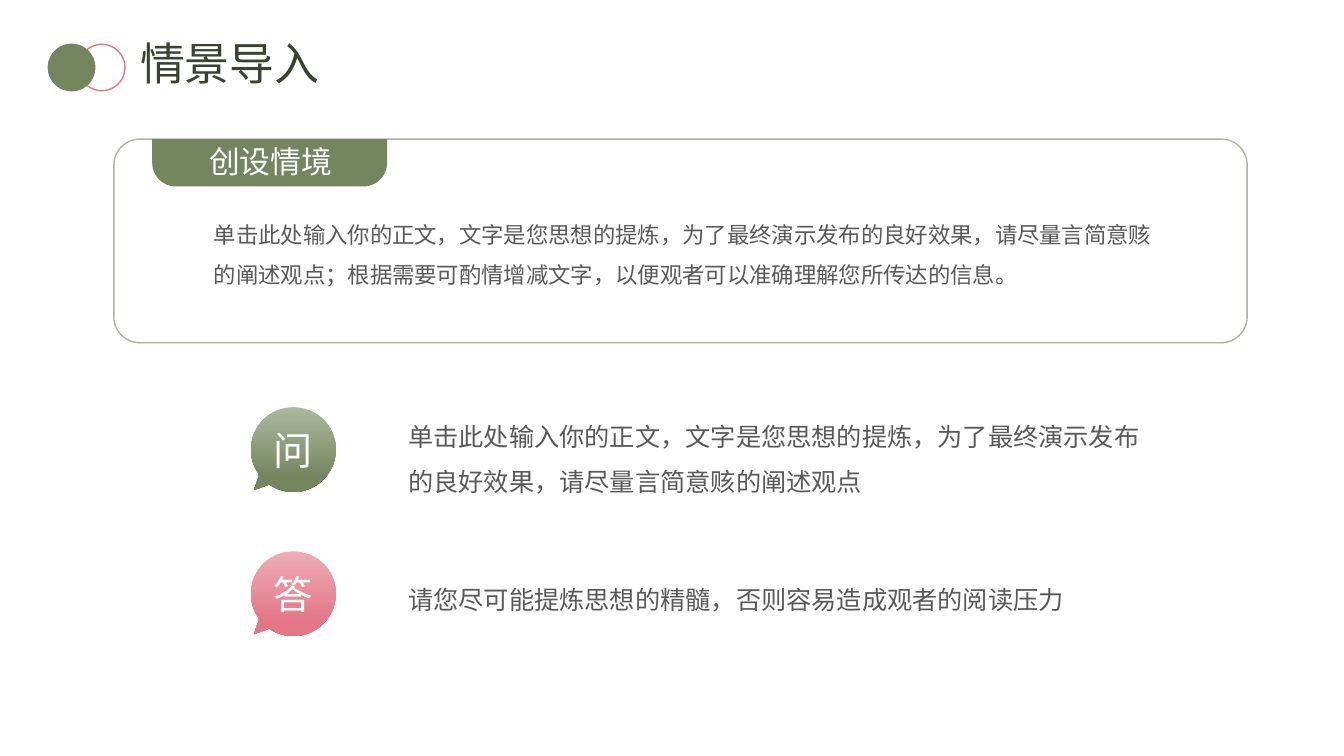
from math import cos, radians, sin, tan

from lxml import etree
from pptx import Presentation
from pptx.dml.color import RGBColor
from pptx.enum.shapes import MSO_SHAPE
from pptx.enum.text import MSO_ANCHOR, PP_ALIGN
from pptx.oxml.ns import qn
from pptx.util import Inches, Pt

OVAL = MSO_SHAPE.OVAL
ROUND = MSO_SHAPE.ROUNDED_RECTANGLE
TAB = MSO_SHAPE.ROUND_2_SAME_RECTANGLE
LEFT, CENTER = PP_ALIGN.LEFT, PP_ALIGN.CENTER
TOP, MIDDLE = MSO_ANCHOR.TOP, MSO_ANCHOR.MIDDLE

FONT = "Noto Sans CJK SC"
HUES = {
    "green": "758560", "sage": "ADB89D", "pink": "E37786", "blush": "EEADB6",
    "dark": "3B4230", "gray": "595959", "white": "FFFFFF",
}
UNIT = 1000  # outline units per inch
ARC = (145, 180, 270, 360, 450, 484)  # degrees, clockwise from the right
TAIL = [(-0.25, 0.35), (-0.39, 0.4), (-0.34, 0.26)]


def hue(name):
    return RGBColor.from_string(HUES[name])


def write(shape, text, size=18, color="gray", align=LEFT, anchor=TOP,
          space=None, inset=0.0):
    frame = shape.text_frame
    frame.word_wrap = True
    frame.vertical_anchor = anchor
    frame.margin_left = frame.margin_right = Inches(inset)
    frame.margin_top = frame.margin_bottom = Inches(inset / 2)
    para = frame.paragraphs[0]
    para.alignment = align
    if space:
        para.line_spacing = space
    run = para.add_run()
    run.text = text
    font = run.font
    font.name, font.size = FONT, Pt(size)
    font.color.rgb = hue(color)
    # East Asian typeface for the Chinese text
    etree.SubElement(font._element, qn("a:ea"), typeface=FONT)


def curve(shape, r):
    """Bend the first segments of the outline into circle arcs."""
    lines = list(shape._element.iter(qn("a:lnTo")))
    last = next(shape._element.iter(qn("a:moveTo")))[0]
    for line, a, b in zip(lines, ARC, ARC[1:]):
        end = line[0]
        grip = 4 / 3 * tan(radians(b - a) / 4) * r * UNIT
        for at, (point, angle, way) in enumerate(((last, a, 1), (end, b, -1))):
            x = int(point.get("x")) - way * grip * sin(radians(angle))
            y = int(point.get("y")) + way * grip * cos(radians(angle))
            knob = etree.Element(qn("a:pt"), x=str(round(x)), y=str(round(y)))
            line.insert(at, knob)
        bend = etree.Element(qn("a:cubicBezTo"))
        line.getparent().replace(line, bend)
        bend.extend(list(line))
        last = end


class Page:
    def __init__(self, slide):
        self.slide = slide
        self.shapes = slide.shapes

    def title(self, text, box):
        head = self.shapes.title
        head.left, head.top, head.width, head.height = map(Inches, box)
        write(head, text, size=32, color="dark", anchor=MIDDLE,
              space=0.9, inset=0.1)

    def shape(self, kind, box, fill=None, line=None, adjust=(), alpha=None):
        item = self.shapes.add_shape(kind, *map(Inches, box))
        item.shadow.inherit = False
        for i, value in enumerate(adjust):
            item.adjustments[i] = value
        if fill:
            item.fill.solid()
            item.fill.fore_color.rgb = hue(fill)
        else:
            item.fill.background()
        if line:
            item.line.color.rgb = hue(line)
            item.line.width = Pt(1)
        else:
            item.line.fill.background()
        if alpha:
            tint = item.line._ln.find(".//" + qn("a:srgbClr"))
            etree.SubElement(tint, qn("a:alpha"), val=str(alpha * 1000))

    def text(self, text, box, **style):
        write(self.shapes.add_textbox(*map(Inches, box)), text, **style)

    def bubble(self, text, x, y, light, deep, r=0.42):
        # Circle open at lower left, closed by the tail
        rim = [(r * cos(radians(a)), r * sin(radians(a))) for a in ARC]
        spots = [((x + dx) * UNIT, (y + dy) * UNIT) for dx, dy in rim + TAIL]
        pen = self.shapes.build_freeform(*spots[0], scale=Inches(1) / UNIT)
        pen.add_line_segments(spots[1:], close=True)
        item = pen.convert_to_shape()
        curve(item, r)
        item.shadow.inherit = False
        item.line.fill.background()
        item.fill.gradient()
        item.fill.gradient_angle = 270
        stops = item.fill.gradient_stops
        for stop, place, name in zip(stops, (0, 0.83), (light, deep)):
            stop.position = place
            stop.color.rgb = hue(name)
        write(item, text, size=28, color="white", align=CENTER,
              anchor=MIDDLE, inset=0.1)


def main():
    deck = Presentation()
    deck.slide_width, deck.slide_height = Inches(13.33), Inches(7.5)
    page = Page(deck.slides.add_slide(deck.slide_layouts[5]))

    # Heading with its two circles
    page.shape(OVAL, (0.78, 0.44, 0.46, 0.46), line="pink")
    page.shape(OVAL, (0.48, 0.44, 0.46, 0.46), fill="green", line="green")
    page.title("情景导入", (1.29, 0.35, 5.03, 0.61))

    # Framed scene with a tab
    page.shape(ROUND, (1.13, 1.38, 11.24, 2.02), line="green",
               adjust=[0.127], alpha=60)
    page.shape(TAB, (1.51, 1.38, 2.33, 0.47), fill="green", adjust=[0, 0.5])
    page.text("创设情境", (1.83, 1.42, 1.71, 0.37), size=22, color="white",
              align=CENTER)
    page.text("单击此处输入你的正文，文字是您思想的提炼，为了最终演示发布的良好效果，"
              "请尽量言简意赅的阐述观点；根据需要可酌情增减文字，"
              "以便观者可以准确理解您所传达的信息。",
              (2.12, 2.06, 9.35, 0.77), size=16, space=1.5)

    # Question and answer
    rows = [
        ("问", 4.46, "sage", "green", 4.03, 0.87,
         "单击此处输入你的正文，文字是您思想的提炼，为了最终演示发布"
         "的良好效果，请尽量言简意赅的阐述观点"),
        ("答", 5.89, "blush", "pink", 5.65, 0.42,
         "请您尽可能提炼思想的精髓，否则容易造成观者的阅读压力"),
    ]
    for mark, y, light, deep, top, height, words in rows:
        page.bubble(mark, 2.91, y, light, deep)
        page.text(words, (4.05, top, 7.41, height), space=1.5)

    deck.save("out.pptx")


if __name__ == "__main__":
    main()
